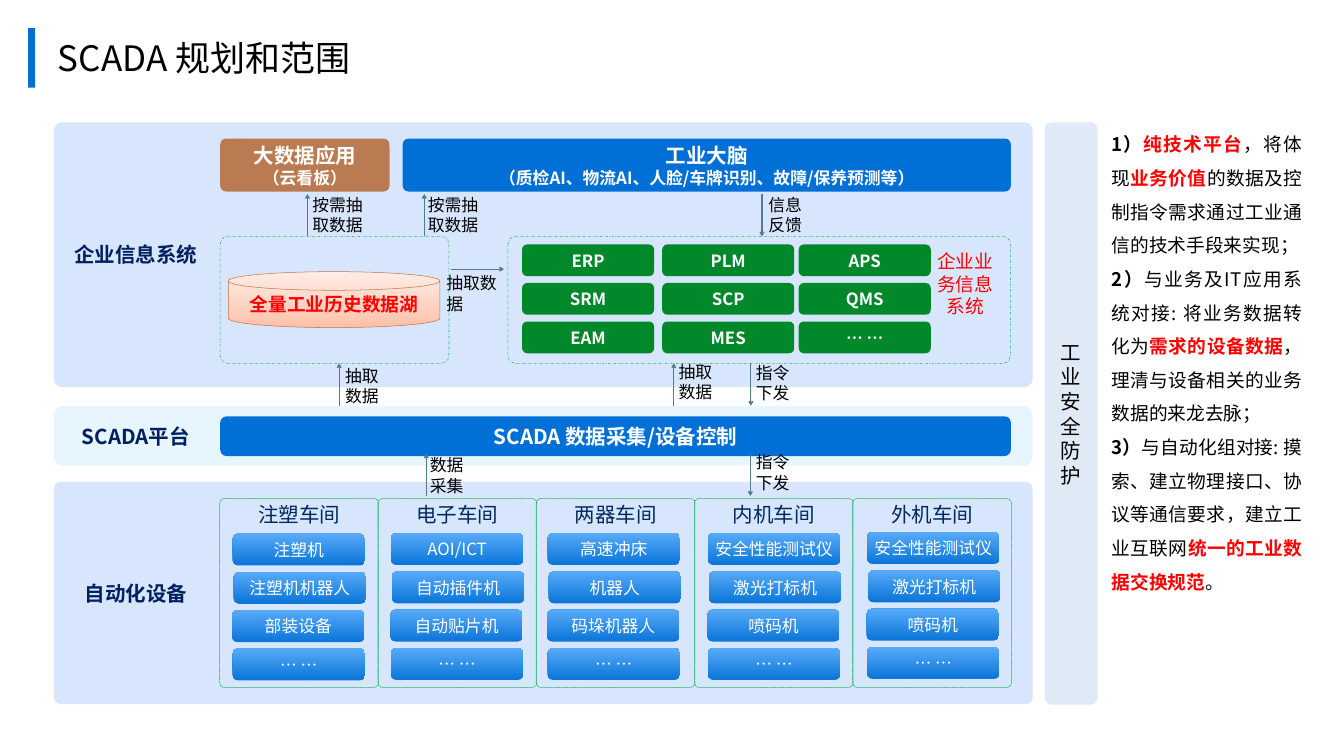
from dataclasses import dataclass
from typing import NamedTuple, Optional

from lxml import etree
from pptx import Presentation
from pptx import util as u
from pptx.dml.color import RGBColor
from pptx.enum import dml, shapes, text
from pptx.oxml import ns

FONT = "Noto Sans CJK SC"
SLIDE_COLS, SLIDE_ROWS = 26.67, 15  # square grid cells
CELL = u.Inches(15) / SLIDE_ROWS
COLORS = {
    "black": "000000", "white": "FFFFFF", "red": "FF0000", "navy": "002060",
    "workshop": "002960", "blue": "0070D7", "sky": "51A8F9", "brown": "BB7B52",
    "green": "00882B", "frame": "00B050", "arrow": "527C88", "panel": "3E82F9",
    "platform": "D0EDFF", "security": "E0EAF6", "lake_line": "B9784E",
    "lake_low": "FEBFA5", "lake_mid": "FDD1C0", "lake_top": "FFEDE6",
}
PILL = 0.16
BUTTON_W, BUTTON_H = 2.62, 0.63
DEVICE_GRADIENT = [(0, "blue", 95), (100, "sky", 95)]
LAKE_GRADIENT = [(0, "lake_low", 100), (35, "lake_mid", 100), (100, "lake_top", 100)]


class Box(NamedTuple):
    col: float
    row: float
    cols: float
    rows: float


class Flow(NamedTuple):
    start: tuple
    end: tuple


@dataclass
class Words:
    lines: str
    size: float = 24
    color: str = "black"
    bold: bool = False
    center: bool = True
    middle: bool = True
    inset: Optional[float] = 0.02
    later_size: Optional[float] = None


@dataclass
class Workshop:
    name: str
    devices: list
    col: float
    row: float


FLOWS = [
    Flow((6.73, 8.05), (6.73, 7.21)), Flow((8.95, 5.34), (10, 5.34)),
    Flow((8.42, 4.69), (8.42, 3.85)), Flow((13.37, 8.05), (13.37, 7.21)),
    Flow((15.12, 3.85), (15.12, 4.69)), Flow((6.1, 4.69), (6.1, 3.85)),
    Flow((14.9, 7.21), (14.9, 8.05)), Flow((8.46, 9.84), (8.46, 9)),
    Flow((14.89, 9), (14.89, 9.84)),
]
FLOW_LABELS = [
    ("按需抽\n取数据", Box(8.39, 3.82, 1.89, 0.91)), ("抽取\n数据", Box(6.75, 7.2, 1.71, 0.91)),
    ("抽取\n数据", Box(13.37, 7.12, 1.4, 0.91)), ("抽取数据", Box(8.76, 5.37, 1.26, 0.91)),
    ("信息\n反馈", Box(15.15, 3.82, 1.57, 0.91)), ("按需抽\n取数据", Box(6.1, 3.82, 1.89, 0.91)),
    ("指令\n下发", Box(14.9, 7.14, 1.71, 0.91)), ("数据\n采集", Box(8.43, 8.98, 1.71, 0.91)),
    ("指令\n下发", Box(14.9, 8.92, 1.71, 0.91)),
]
LAYERS = [("企业信息系统", 4.6), ("SCADA平台", 8.21), ("自动化设备", 11.32)]
SYSTEMS = [["ERP", "PLM", "APS"], ["SRM", "SCP", "QMS"], ["EAM", "MES", "… …"]]
SYSTEM_COLS = [10.36, 13.14, 15.85]
WORKSHOPS = [
    Workshop("注塑车间", ["注塑机", "注塑机机器人", "部装设备", "… …"], 4.62, 10.59),
    Workshop("电子车间", ["AOI/ICT", "自动插件机", "自动贴片机", "… …"], 7.76, 10.58),
    Workshop("两器车间", ["高速冲床", "机器人", "码垛机器人", "… …"], 10.87, 10.58),
    Workshop("内机车间", ["安全性能测试仪", "激光打标机", "喷码机", "… …"], 14.05, 10.58),
    Workshop("外机车间", ["安全性能测试仪", "激光打标机", "喷码机", "… …"], 17.21, 10.56),
]
DEVICE_SHIFTS = [0, 0.02, -0.01, 0]
# Each piece: wording, colour, bold
NOTES = [
    [("1）", "black", True), ("纯技术平台", "red", True), ("，将体现", "black", False),
     ("业务价值", "red", True),
     ("的数据及控制指令需求通过工业通信的技术手段来实现；", "black", False)],
    [("2）", "black", True), ("与业务及IT应用系统对接: 将业务数据转化为", "black", False),
     ("需求的设备数据", "red", True),
     ("，理清与设备相关的业务数据的来龙去脉；", "black", False)],
    [("3）", "black", True),
     ("与自动化组对接: 摸索、建立物理接口、协议等通信要求，建立工业互联网", "black", False),
     ("统一的工业数据交换规范", "red", True), ("。", "black", False)],
]


def cells(*counts: float) -> list:
    return [u.Emu(round(n * CELL)) for n in counts]


def rgb(name: str) -> RGBColor:
    return RGBColor.from_string(COLORS[name])


def format_run(run, size: float, color: str, bold: bool) -> None:
    run.font.size, run.font.bold, run.font.name = u.Pt(size), bold, FONT
    run.font.color.rgb = rgb(color)
    etree.SubElement(run.font._element, ns.qn("a:ea"), typeface=FONT)


def set_inset(frame, inset: float) -> None:
    frame.margin_left = frame.margin_right = frame.margin_top = frame.margin_bottom = u.Inches(inset)


def write(shape, words: Words) -> None:
    frame = shape.text_frame
    frame.text = words.lines
    frame.word_wrap = True
    frame.vertical_anchor = text.MSO_ANCHOR.MIDDLE if words.middle else text.MSO_ANCHOR.TOP
    if words.inset is not None:
        set_inset(frame, words.inset)
    for index, paragraph in enumerate(frame.paragraphs):
        paragraph.alignment = text.PP_ALIGN.CENTER if words.center else text.PP_ALIGN.LEFT
        size = words.later_size if index and words.later_size else words.size
        for run in paragraph.runs:
            format_run(run, size, words.color, words.bold)


def add_text(slide, box: Box, words: Words) -> None:
    write(slide.shapes.add_textbox(*cells(*box)), words)


def fill_gradient(shape, stops: list) -> None:
    """Fill from bottom to top with (position, colour, opacity) stops."""
    shape.fill.gradient()
    shape.fill.gradient_angle = 90
    stop_list = shape._element.spPr.find(ns.qn("a:gradFill")).find(ns.qn("a:gsLst"))
    for stop in list(stop_list):
        stop_list.remove(stop)
    for position, color, opacity in stops:
        stop = etree.SubElement(stop_list, ns.qn("a:gs"), pos=str(position * 1000))
        value = etree.SubElement(stop, ns.qn("a:srgbClr"), val=COLORS[color])
        etree.SubElement(value, ns.qn("a:alpha"), val=str(opacity * 1000))


def add_block(slide, box: Box, fill=None, corner: Optional[float] = None,
              words: Optional[Words] = None, opacity: int = 100, line: Optional[str] = None,
              dash=None, kind=shapes.MSO_SHAPE.ROUNDED_RECTANGLE) -> None:
    """Draw a shape; fill is a colour name, a list of gradient stops, or None."""
    block = slide.shapes.add_shape(kind, *cells(*box))
    block.shadow.inherit = False
    if corner is not None:
        block.adjustments[0] = corner
    if fill is None:
        block.fill.background()
    elif isinstance(fill, list):
        fill_gradient(block, fill)
    else:
        block.fill.solid()
        block.fill.fore_color.rgb = rgb(fill)
        if opacity < 100:
            value = block._element.spPr.find(ns.qn("a:solidFill"))[0]
            etree.SubElement(value, ns.qn("a:alpha"), val=str(opacity * 1000))
    if line:
        block.line.color.rgb, block.line.width = rgb(line), u.Pt(0.75)
        if dash:
            block.line.dash_style = dash
    else:
        block.line.fill.background()
    if words:
        write(block, words)


def add_flow(slide, flow: Flow) -> None:
    arrow = slide.shapes.add_connector(shapes.MSO_CONNECTOR.STRAIGHT, *cells(*flow.start, *flow.end))
    arrow.line.color.rgb, arrow.line.width = rgb("arrow"), u.Pt(1.75)
    etree.SubElement(arrow.line._get_or_add_ln(), ns.qn("a:tailEnd"), type="arrow")
    etree.SubElement(arrow._element.spPr, ns.qn("a:effectLst"))


def place(placeholder, box: Box) -> None:
    placeholder.left, placeholder.top, placeholder.width, placeholder.height = cells(*box)


def add_title(slide) -> None:
    title = slide.shapes.title
    place(title, Box(1.1, 0.77, 6.2, 0.86))
    write(title, Words("SCADA 规划和范围", 50, center=False, middle=False, inset=0.05))
    title.text_frame.auto_size = text.MSO_AUTO_SIZE.NONE
    title.text_frame.paragraphs[0].line_spacing = 0.9


def add_notes_list(slide) -> None:
    body = slide.placeholders[1]
    place(body, Box(21.96, 2.37, 3.98, 9.53))
    frame = body.text_frame
    frame.auto_size = text.MSO_AUTO_SIZE.NONE
    for index, pieces in enumerate(NOTES):
        paragraph = frame.add_paragraph() if index else frame.paragraphs[0]
        paragraph.alignment, paragraph.line_spacing = text.PP_ALIGN.JUSTIFY, 1.5
        paragraph.space_before = u.Pt(0)
        properties = paragraph._p.get_or_add_pPr()
        properties.set("marL", "0")
        properties.set("indent", "0")
        etree.SubElement(properties, ns.qn("a:buNone"))
        for wording, color, bold in pieces:
            run = paragraph.add_run()
            run.text = wording
            format_run(run, 26.7, color, bold)


def add_enterprise_layer(slide) -> None:
    for col, cols in [(10.08, 9.97), (4.37, 4.54)]:
        add_block(slide, Box(col, 4.69, cols, 2.52), corner=0.06, line="frame",
                  dash=dml.MSO_LINE.DASH_DOT)
    add_block(slide, Box(4.53, 5.39, 4.2, 1.11), LAKE_GRADIENT, line="lake_line",
              kind=shapes.MSO_SHAPE.FLOWCHART_MAGNETIC_DISK,
              words=Words("全量工业历史数据湖", 26.7, "red", True, inset=0.06))
    add_text(slide, Box(18.43, 4.91, 1.45, 1.45),
             Words("企业业务信息系统", 26.7, "red", middle=False, inset=None))
    for lines, col, cols, color in [
            ("大数据应用\n（云看板）", 4.37, 3.36, "brown"),
            ("工业大脑\n（质检AI、物流AI、人脸/车牌识别、故障/保养预测等）", 7.99, 12.07, "blue")]:
        add_block(slide, Box(col, 2.75, cols, 1.05), color, 0.11,
                  Words(lines, 29.3, "white", True, later_size=24))
    for row, names in enumerate(SYSTEMS):
        for col, name in zip(SYSTEM_COLS, names):
            add_block(slide, Box(col, 4.85 + row * 0.765, BUTTON_W, BUTTON_H), "green", PILL,
                      Words(name, 24, "white", True))


def add_workshop(slide, index: int, workshop: Workshop) -> None:
    add_block(slide, Box(4.36 + index * 3.14, 9.89, 3.15, 3.75), corner=0.03, line="frame",
              dash=dml.MSO_LINE.SQUARE_DOT,
              words=Words(workshop.name, 29.3, "workshop", middle=False, inset=0.05))
    for row, (device, shift) in enumerate(zip(workshop.devices, DEVICE_SHIFTS)):
        add_block(slide, Box(workshop.col + shift, workshop.row + row * 0.76, BUTTON_W, BUTTON_H),
                  DEVICE_GRADIENT, PILL, Words(device, 24, "white"))


def main() -> None:
    deck = Presentation()
    deck.slide_width, deck.slide_height = cells(SLIDE_COLS, SLIDE_ROWS)
    slide = deck.slides.add_slide(deck.slide_layouts[1])
    add_title(slide)
    add_notes_list(slide)
    add_block(slide, Box(0.56, 0.56, 0.14, 1.18), "blue", kind=shapes.MSO_SHAPE.RECTANGLE)
    for row, rows, color, opacity, corner in [
            (9.56, 4.41, "panel", 20, 0.03), (2.43, 5.25, "panel", 20, 0.03),
            (8.06, 1.18, "platform", 50, 0.14)]:
        add_block(slide, Box(1.07, row, 19.42, rows), color, corner, opacity=opacity)
    add_block(slide, Box(20.73, 2.43, 1.05, 11.55), "security", 0.13,
              Words("工业安全防护", 29.3, inset=None))
    for name, row in LAYERS:
        add_text(slide, Box(1.27, row, 2.85, 0.89), Words(name, 29.3, "navy", True, inset=0.04))
    add_enterprise_layer(slide)
    add_block(slide, Box(4.37, 8.26, 15.69, 0.79), "blue", PILL,
              Words("SCADA 数据采集/设备控制", 29.3, "white", True))
    for index, workshop in enumerate(WORKSHOPS):
        add_workshop(slide, index, workshop)
    for flow in FLOWS:
        add_flow(slide, flow)
    for lines, box in FLOW_LABELS:
        add_text(slide, box, Words(lines, center=False, middle=False, inset=None))
    deck.save("out.pptx")


if __name__ == "__main__":
    main()
